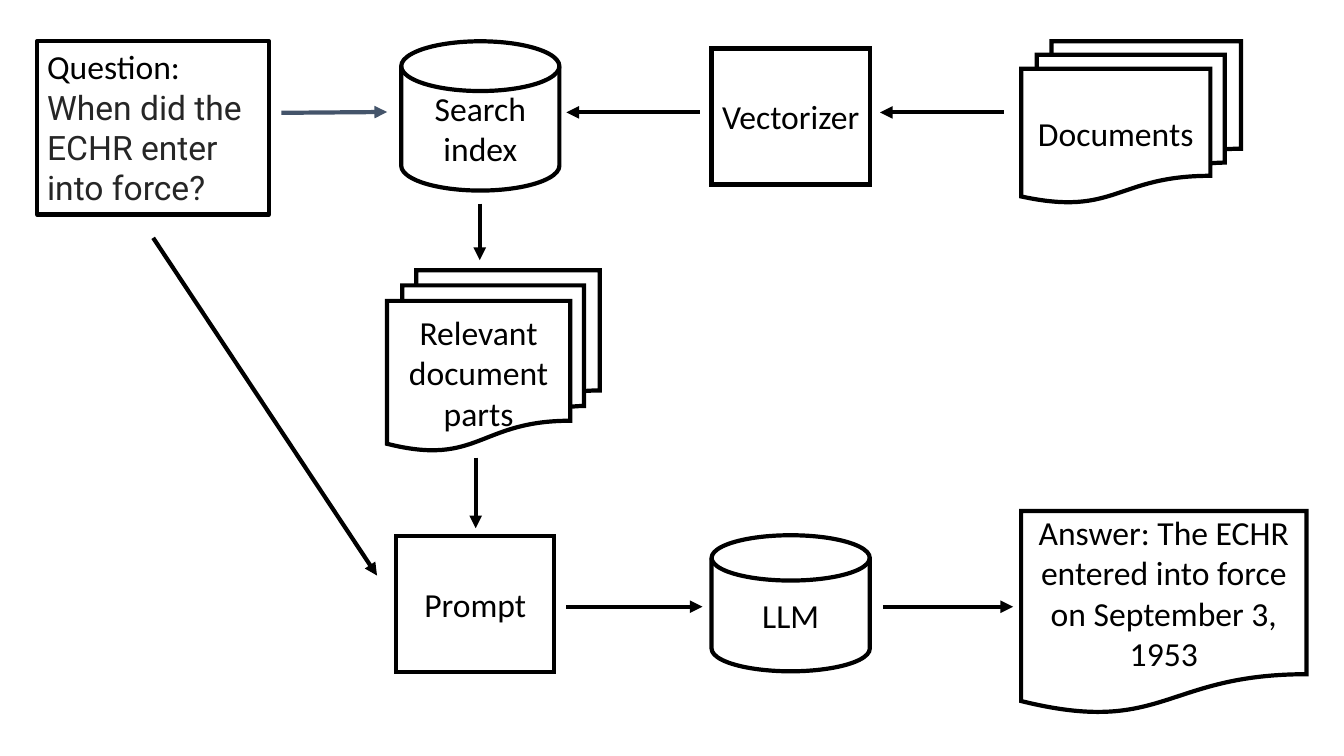
from lxml.etree import SubElement
from pptx import Presentation
from pptx.dml.color import RGBColor
from pptx.enum.shapes import MSO_CONNECTOR, MSO_SHAPE as Preset
from pptx.enum.text import MSO_ANCHOR as Anchor, PP_ALIGN as Align
from pptx.oxml.ns import qn
from pptx.util import Pt

BLACK, WHITE, SLATE, CHARCOAL = "000000", "FFFFFF", "44546A", "262626"
STROKE = 3
TEXT_SIZE = 24
COLUMN_SEARCH, COLUMN_MODEL, COLUMN_DOCS = 286.6, 508.3, 729.4
BOX_WIDTH, BOX_HEIGHT = 113, 97.2
TOP_FLOW, BOTTOM_FLOW = 80.3, 433.4


def paint(color_format, color):
    color_format.rgb = RGBColor.from_string(color)


def outline(line, color):
    line.fill.solid()
    paint(line.fill.fore_color, color)
    line.width = Pt(STROKE)


def add_run(paragraph, text, font="Calibri", color=BLACK):
    run = paragraph.add_run()
    run.text = text
    run.font.name = font
    run.font.size = Pt(TEXT_SIZE)
    paint(run.font.color, color)


def add_outlined(slide, preset, left, top, width, height):
    node = slide.shapes.add_shape(preset, Pt(left), Pt(top), Pt(width), Pt(height))
    node.shadow.inherit = False
    outline(node.line, BLACK)
    node.text_frame.word_wrap = True
    return node


def add_node(slide, preset, label, left, top, width=BOX_WIDTH, height=BOX_HEIGHT):
    node = add_outlined(slide, preset, left, top, width, height)
    node.fill.solid()
    paint(node.fill.fore_color, WHITE)
    SubElement(node.line._get_or_add_ln(), qn("a:miter"), lim="800000")
    node.text_frame.vertical_anchor = Anchor.MIDDLE
    paragraph = node.text_frame.paragraphs[0]
    paragraph.alignment = Align.CENTER
    add_run(paragraph, label)


def add_question(slide):
    question = add_outlined(slide, Preset.RECTANGLE, 26.6, 29.5, 165.6, 123.8)
    question.fill.background()
    question.text_frame.vertical_anchor = Anchor.TOP
    paragraph = question.text_frame.paragraphs[0]
    paragraph.alignment = Align.LEFT
    add_run(paragraph, "Question: ")
    add_run(paragraph, "When did the ECHR enter into force?", "Roboto", CHARCOAL)


def add_arrow(slide, x1, y1, x2, y2, color=BLACK):
    arrow = slide.shapes.add_connector(
        MSO_CONNECTOR.STRAIGHT, Pt(x1), Pt(y1), Pt(x2), Pt(y2))
    outline(arrow.line, color)
    SubElement(arrow.line._get_or_add_ln(), qn("a:tailEnd"), type="triangle")
    SubElement(arrow._element.spPr, qn("a:effectLst"))


def main():
    deck = Presentation()
    deck.slide_width, deck.slide_height = Pt(960), Pt(540)
    slide = deck.slides.add_slide(deck.slide_layouts[6])

    add_question(slide)
    add_node(slide, Preset.FLOWCHART_MULTIDOCUMENT, "Documents",
             COLUMN_DOCS, 29.5, 157, 115.2)
    add_node(slide, Preset.FLOWCHART_MAGNETIC_DISK, "Search index",
             COLUMN_SEARCH, 29.5, height=106.6)
    add_node(slide, Preset.FLOWCHART_PROCESS, "Vectorizer", COLUMN_MODEL, 34.6)
    add_node(slide, Preset.FLOWCHART_MULTIDOCUMENT, "Relevant document parts",
             276.5, 193, 151.9, 128.9)
    add_node(slide, Preset.FLOWCHART_PROCESS, "Prompt", 283, 383)
    add_node(slide, Preset.FLOWCHART_MAGNETIC_DISK, "LLM", COLUMN_MODEL, 382.3)
    add_node(slide, Preset.FLOWCHART_DOCUMENT,
             "Answer: The ECHR entered into force on September 3, 1953",
             COLUMN_DOCS, 365, 203.8, 145.4)

    add_arrow(slide, 201, 80.6, 276.5, 80, SLATE)
    for start, end, flow in [
        (717.1, 628.6, TOP_FLOW),
        (499.7, 404.6, TOP_FLOW),
        (404.6, 501.8, BOTTOM_FLOW),
        (630.7, 723.6, BOTTOM_FLOW),
    ]:
        add_arrow(slide, start, flow, end, flow)
    add_arrow(slide, 342.7, 145.4, 342.7, 185.8)
    add_arrow(slide, 339.8, 326.9, 339.8, 377.3)
    add_arrow(slide, 109.4, 169.9, 269.3, 411.1)

    deck.save("out.pptx")


if __name__ == "__main__":
    main()
